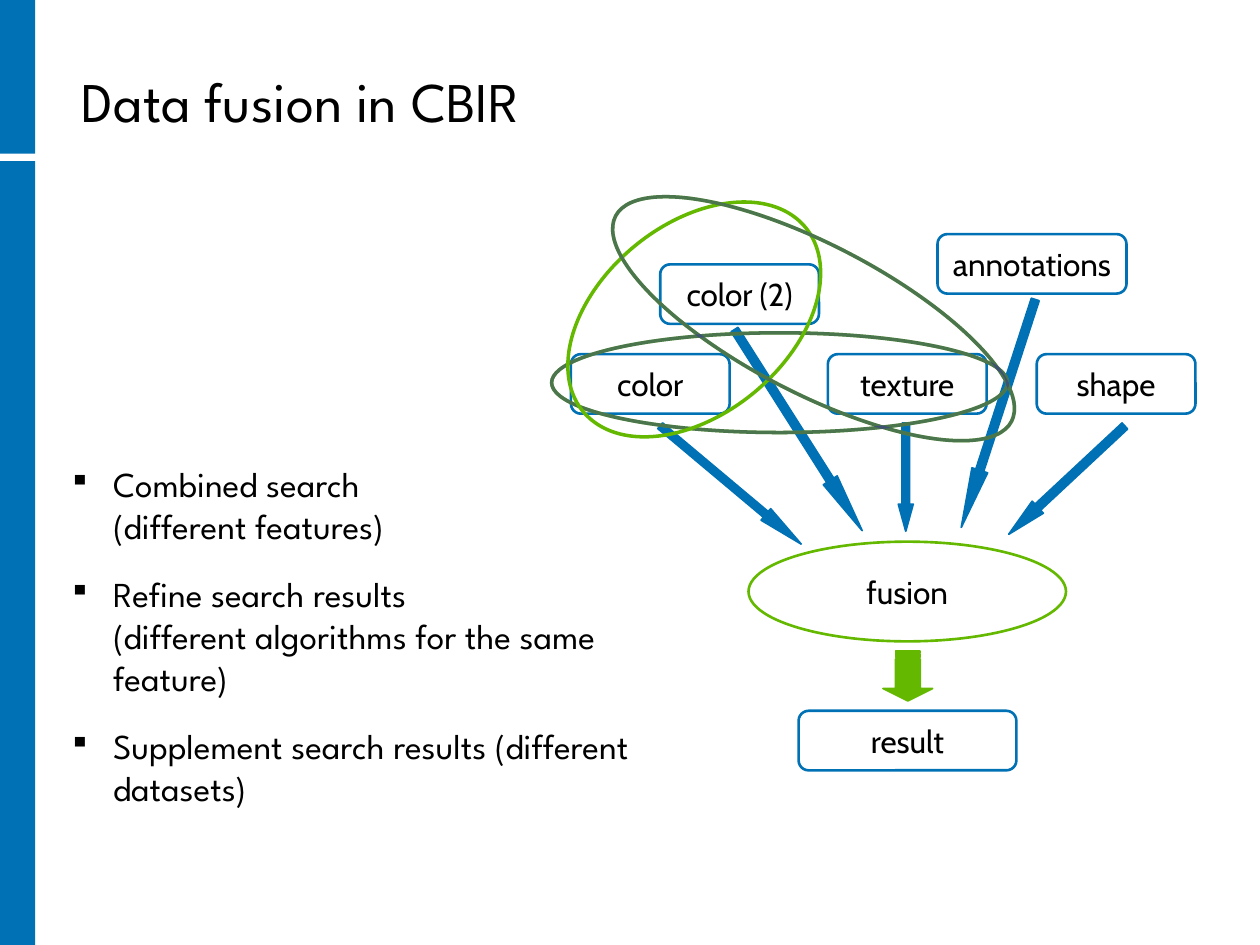
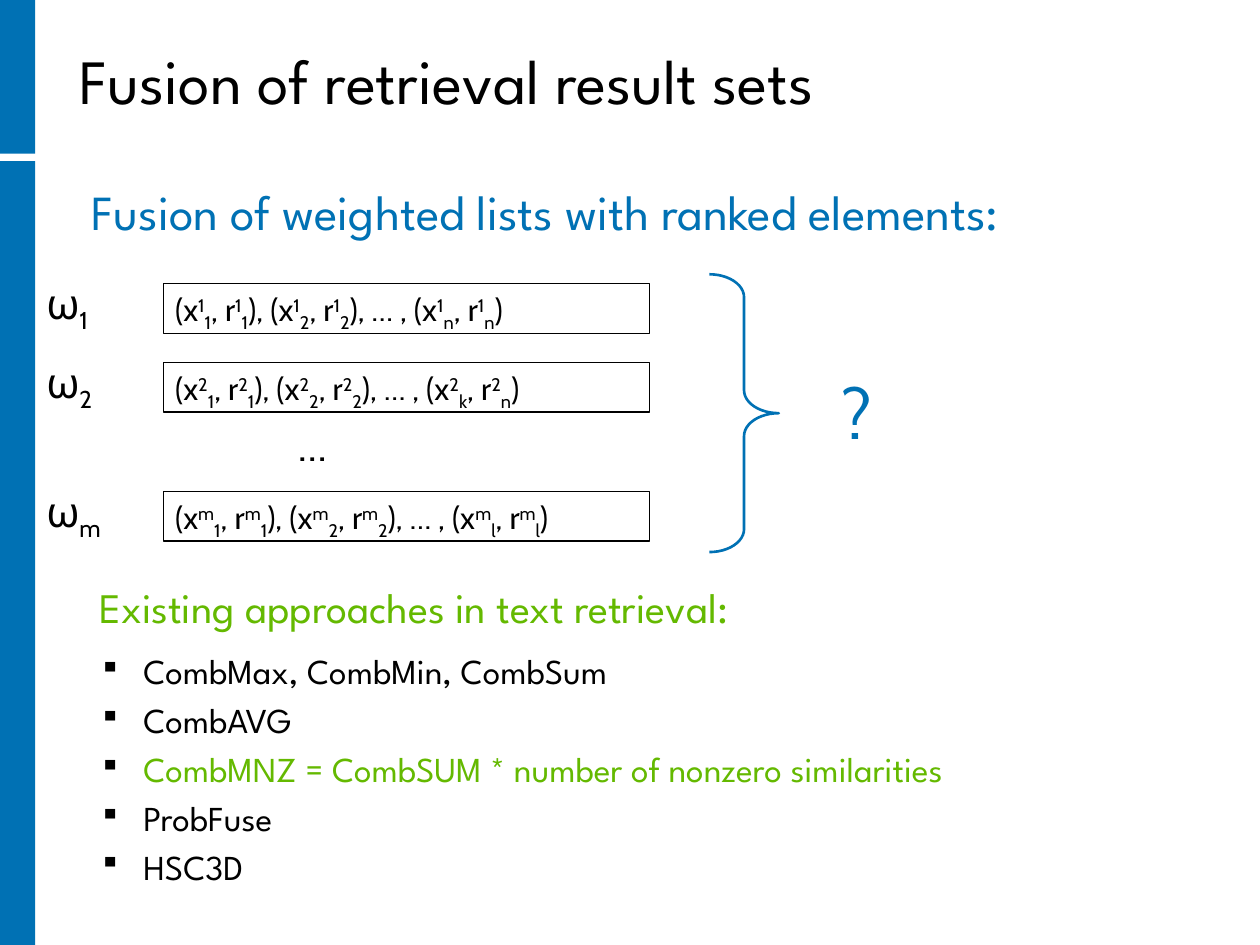
from dataclasses import dataclass
from typing import Optional

from lxml import etree
from pptx import Presentation
from pptx import util as u
from pptx.dml.color import RGBColor
from pptx.enum import shapes, text
from pptx.oxml import ns

COLORS = {"blue": "0071B4", "green": "64B900", "violet": "333399",
          "black": "000000", "white": "FFFFFF"}
HEADING_FONT, LABEL_FONT = "League Spartan", "Cabin"
TITLE_ONLY = 5
Kind = shapes.MSO_SHAPE


@dataclass
class Place:
    left: float
    top: float
    width: float
    height: float
    angle: float = 0

    def lengths(self) -> list:
        return [u.Cm(n) for n in (self.left, self.top, self.width, self.height)]


@dataclass
class Node:
    label: str
    place: Place
    fill: Optional[str] = None
    line: str = "blue"
    kind: Kind = Kind.ROUNDED_RECTANGLE


@dataclass
class Line:
    words: str
    size: float = 20
    color: str = "black"
    bullet: bool = True
    before: float = 0
    after: float = 2.5
    spacing: float = 1


@dataclass
class ListRow:
    rank: str
    top: float
    last_x: str
    last_r: str


def rgb(name: str) -> RGBColor:
    return RGBColor.from_string(COLORS[name])


def set_font(font, size: float, color: str, face: str) -> None:
    font.size, font.name = u.Pt(size), face
    font.color.rgb = rgb(color)


def set_margins(frame, side: float, end: float) -> None:
    frame.margin_left = frame.margin_right = u.Cm(side)
    frame.margin_top = frame.margin_bottom = u.Cm(end)


def add_figure(page, kind, place: Place, fill: Optional[str] = None,
               line: Optional[str] = None, weight: float = 1):
    figure = page.shapes.add_shape(kind, *place.lengths())
    figure.rotation = place.angle
    figure.shadow.inherit = False
    if fill:
        figure.fill.solid()
        figure.fill.fore_color.rgb = rgb(fill)
    else:
        figure.fill.background()
    if line:
        figure.line.color.rgb = rgb(line)
        figure.line.width = u.Pt(weight)
    else:
        figure.line.fill.background()
    return figure


def add_box(page, place: Place, side: float = 0.25, end: float = 0.13):
    frame = page.shapes.add_textbox(*place.lengths()).text_frame
    frame.word_wrap = True
    set_margins(frame, side, end)
    return frame


def add_label(page, place: Place, words: str, size: float,
              color: str = "black", face: str = LABEL_FONT) -> None:
    frame = add_box(page, place)
    frame.text = words
    set_font(frame.paragraphs[0].runs[0].font, size, color, face)


def add_scripted(page, place: Place, pieces: list, size: float) -> None:
    """Write (words, baseline percent) pieces as one line."""
    para = add_box(page, place).paragraphs[0]
    for words, baseline in pieces:
        span = para.add_run()
        span.text = words
        set_font(span.font, size, "black", LABEL_FONT)
        if baseline:
            span._r.get_or_add_rPr().set("baseline", str(baseline * 1000))


def add_bullet(props) -> None:
    color = etree.SubElement(props, ns.qn("a:buClr"))
    etree.SubElement(color, ns.qn("a:srgbClr"), val=COLORS["black"])
    etree.SubElement(props, ns.qn("a:buSzPct"), val="85000")
    etree.SubElement(props, ns.qn("a:buChar"), char="▪")


def add_lines(page, place: Place, lines: list) -> None:
    frame = add_box(page, place, 0, 0)
    for index, line in enumerate(lines):
        para = frame.add_paragraph() if index else frame.paragraphs[0]
        para.text = line.words
        props = para._p.get_or_add_pPr()
        props.set("marL", str(u.Cm(1.19)))
        props.set("indent", str(u.Cm(-0.89)))
        if line.bullet:
            add_bullet(props)
        para.line_spacing = line.spacing
        para.space_before, para.space_after = u.Pt(line.before), u.Pt(line.after)
        for span in para.runs:
            set_font(span.font, line.size, line.color, HEADING_FONT)


def add_page(deck, title: str, place: Place, size: float):
    page = deck.slides.add_slide(deck.slide_layouts[TITLE_ONLY])
    holder = page.shapes.title
    holder.left, holder.top, holder.width, holder.height = place.lengths()
    frame = holder.text_frame
    frame.text = title
    frame.auto_size = text.MSO_AUTO_SIZE.NONE
    frame.vertical_anchor = text.MSO_ANCHOR.MIDDLE
    set_margins(frame, 0, 0)
    para = frame.paragraphs[0]
    para.alignment, para.line_spacing = text.PP_ALIGN.LEFT, 1.01
    set_font(para.runs[0].font, size, "black", HEADING_FONT)
    return page


def move_bands_to_layout(page) -> None:
    """Place the two side bands on the layout that all pages share."""
    for top, height in ((3.25, 15.8), (0, 3.1)):
        band = add_figure(page, Kind.RECTANGLE, Place(0, top, 0.71, height), "blue")
        page.slide_layout.shapes.element.append(band.element)


def add_node(page, node: Node) -> None:
    figure = add_figure(page, node.kind, node.place, node.fill, node.line, 1.5)
    frame = figure.text_frame
    frame.word_wrap = False
    frame.vertical_anchor = text.MSO_ANCHOR.MIDDLE
    frame.text = node.label
    para = frame.paragraphs[0]
    para.alignment = text.PP_ALIGN.CENTER
    set_font(para.runs[0].font, 18, "black", LABEL_FONT)


def add_arrow(page, place: Place) -> None:
    """Draw a slim arrow whose head takes a quarter of its length."""
    arrow = add_figure(page, Kind.DOWN_ARROW, place, "blue", "blue")
    arrow.adjustments[1] = place.height / place.width / 4


def add_ring(page, place: Place, color: str, alpha: int = 100) -> None:
    ring = add_figure(page, Kind.OVAL, place, line=color, weight=2)
    if alpha < 100:
        tint = ring.element.find(".//" + ns.qn("a:ln")).find(".//" + ns.qn("a:srgbClr"))
        etree.SubElement(tint, ns.qn("a:alpha"), val=str(alpha * 1000))


def build_data_fusion(deck) -> None:
    page = add_page(deck, "Data fusion in CBIR", Place(1.65, 0.71, 22.86, 2.59), 32)
    move_bands_to_layout(page)

    # Features, fusion and result
    wide, high, row = 3.2, 1.2, 7.14
    for node in (
        Node("color (2)", Place(13.31, 5.33, wide, high), "white"),
        Node("texture", Place(16.69, row, wide, high)),
        Node("shape", Place(20.9, row, wide, high)),
        Node("fusion", Place(15.09, 10.92, 6.4, 2.01), None, "green", Kind.OVAL),
        Node("result", Place(16.1, 14.33, 4.39, high), "white"),
        Node("color", Place(11.51, row, wide, high), "white"),
        Node("annotations", Place(18.9, 4.72, 3.81, high)),
    ):
        add_node(page, node)

    # Arrows into the fusion and out of it
    for place in (
        Place(18.11, 8.53, 0.3, 2.18),
        Place(14.58, 7.92, 0.3, 3.71, 310),
        Place(21.34, 8.08, 0.33, 3.2, 47),
        Place(15.93, 6.27, 0.33, 4.8, 327.6),
        Place(19.96, 5.92, 0.33, 4.83, 18),
    ):
        add_arrow(page, place)
    outcome = add_figure(page, Kind.STRIPED_RIGHT_ARROW,
                         Place(17.8, 13.13, 1, 1, 90), "green", "green")
    outcome.adjustments[0], outcome.adjustments[1] = 0.5, 0.25

    add_lines(page, Place(1.09, 9.32, 12.19, 8.2), [
        Line("Combined search\n(different features)"),
        Line("Refine search results\n(different algorithms for the same feature)",
             before=12.5),
        Line("Supplement search results (different datasets)", before=12.5),
    ])

    # Rings around features that are combined
    color_texture = Place(14.71, 3.12, 2.01, 9.19, 90)
    second_texture = Place(14.9, 1.93, 3, 8.99, 117.4)
    both_colors = Place(12.09, 3.53, 3.81, 5.82, 50.3)
    add_ring(page, color_texture, "green")
    add_ring(page, second_texture, "green")
    add_ring(page, color_texture, "violet", 50)
    add_ring(page, both_colors, "green")
    add_ring(page, second_texture, "violet", 50)


def ranked_pairs(row: ListRow) -> list:
    """Spell out (x, r) pairs with the list above and the rank below."""
    pieces = []
    pairs = (("(", "1", "1"), ("), (", "2", "2"), ("), … , (", row.last_x, row.last_r))
    for lead, x_rank, r_rank in pairs:
        pieces += [(lead + "x", 0), (row.rank, 30), (x_rank, -25),
                   (", r", 0), (row.rank, 30), (r_rank, -25)]
    return pieces + [(")", 0)]


def build_result_sets(deck) -> None:
    page = add_page(deck, "Fusion of retrieval result sets",
                    Place(1.6, 0, 22.86, 3.18), 36)
    add_label(page, Place(1.6, 3.53, 22.89, 1.6),
              "Fusion of weighted lists with ranked elements:", 28, "blue", HEADING_FONT)

    # Weighted lists
    for row in (ListRow("1", 5.72, "n", "n"), ListRow("2", 7.31, "k", "n"),
                ListRow("m", 9.91, "l", "l")):
        add_figure(page, Kind.RECTANGLE, Place(3.3, row.top, 9.8, 1),
                   line="black", weight=0.75)
        add_scripted(page, Place(3.28, row.top, 10.4, 1.12), ranked_pairs(row), 18)
        add_scripted(page, Place(0.69, row.top - 0.26, 3.4, 1.42),
                     [("ω", 0), (row.rank, -25)], 24)
    add_label(page, Place(5.77, 8.33, 3.07, 1.27), "…", 24)

    # Open question
    brace = add_figure(page, Kind.RIGHT_BRACE, Place(14.3, 5.53, 1.4, 5.6),
                       line="blue", weight=1.5)
    brace.adjustments[0] = 0.33
    add_label(page, Place(16.71, 7.31, 3.02, 1.96), "?", 40, "blue")

    # Known approaches
    approaches = (("CombMax, CombMin, CombSum", "black"), ("CombAVG", "black"),
                  ("CombMNZ = CombSUM * number of nonzero similarities", "green"),
                  ("ProbFuse", "black"), ("HSC3D", "black"))
    add_lines(page, Place(1.7, 11.91, 21.21, 6), [
        Line("Existing approaches in text retrieval:", 24, "green", False,
             after=9, spacing=0.8),
        *(Line(words, color=color, before=6.2, spacing=0.8)
          for words, color in approaches),
    ])


def main() -> None:
    deck = Presentation()
    deck.slide_width, deck.slide_height = u.Cm(25.4), u.Cm(19.05)
    build_data_fusion(deck)
    build_result_sets(deck)
    deck.save("out.pptx")


if __name__ == "__main__":
    main()
